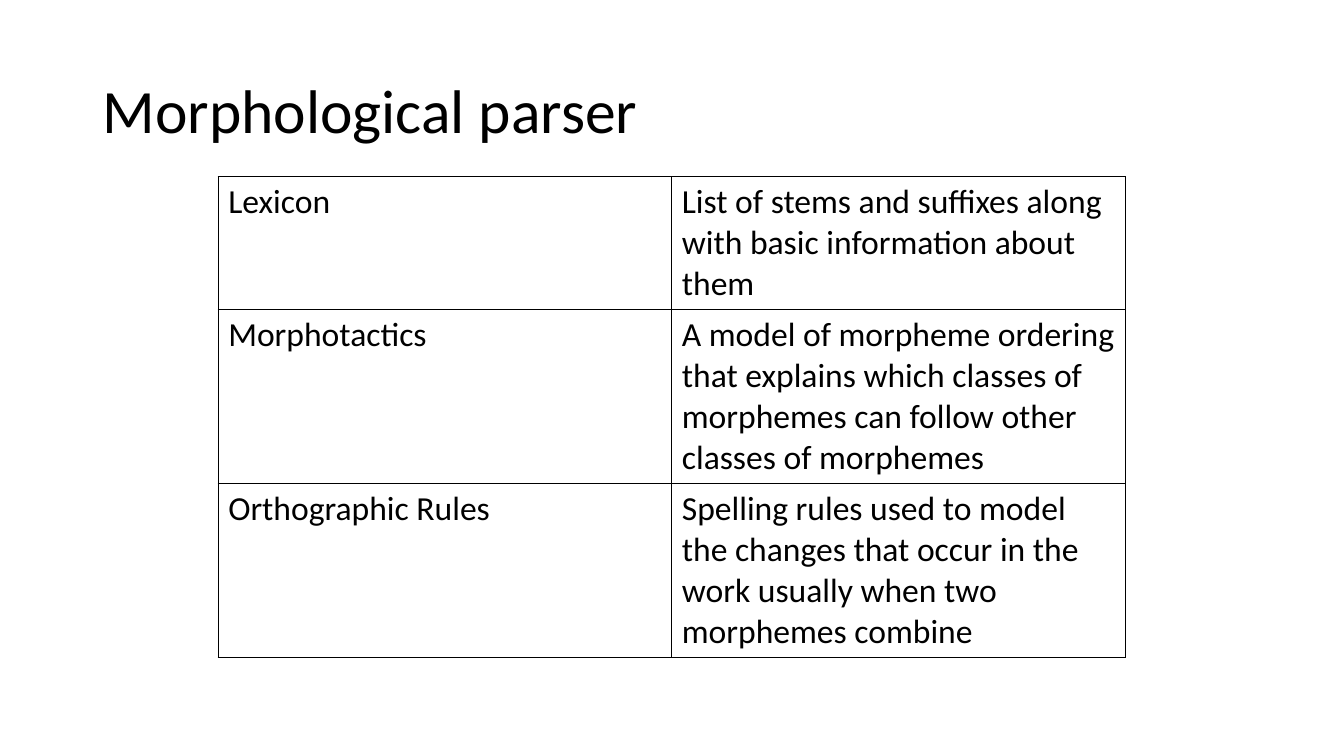
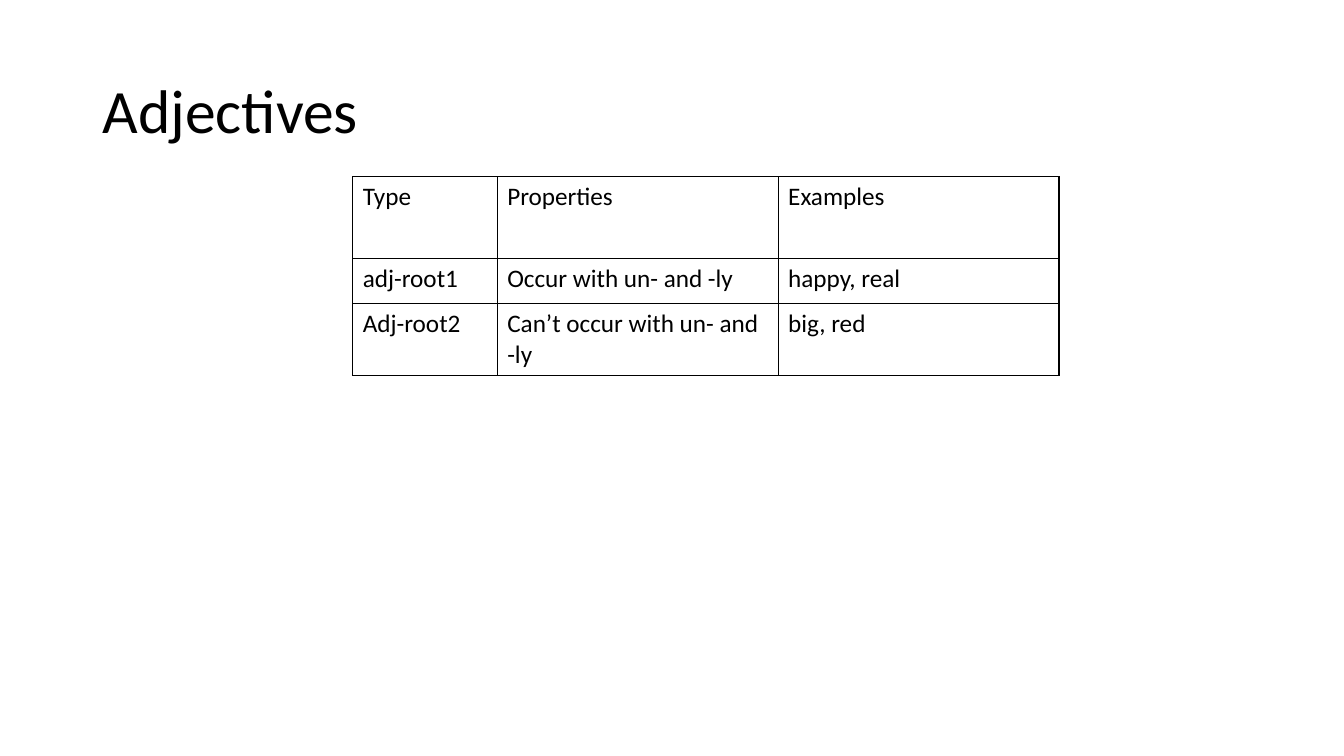
from dataclasses import dataclass

from lxml.etree import SubElement
from pptx import Presentation
from pptx.dml.color import RGBColor
from pptx.enum.text import MSO_ANCHOR, PP_ALIGN
from pptx.oxml.ns import qn
from pptx.presentation import Presentation as Deck
from pptx.slide import Slide
from pptx.table import _Cell
from pptx.text.text import _Paragraph
from pptx.util import Cm, Pt

COLOURS = {"text": "000000", "border": "000000"}
FONT_NAME = "Calibri"
TITLE_SIZE = 44
BORDER_WIDTH = Pt(1)
TITLE_ONLY_LAYOUT = 5
TITLE_BOX = {
    "left": Cm(2.33),
    "top": Cm(1.01),
    "width": Cm(29.21),
    "height": Cm(3.68),
}
TABLE_TOP = 4.45


@dataclass(frozen=True)
class TableSlide:
    """A titled table; lengths are in centimetres, text size in points."""

    title: str
    left: float
    column_widths: tuple[float, ...]
    row_heights: tuple[float, ...]
    text_size: int
    rows: tuple[tuple[str, ...], ...]


TABLE_SLIDES = (
    TableSlide(
        title="Morphological parser",
        left=5.5,
        column_widths=(11.43, 11.43),
        row_heights=(3.3, 4.32, 4.32),
        text_size=24,
        rows=(
            ("Lexicon",
             "List of stems and suffixes along with basic information about them"),
            ("Morphotactics",
             "A model of morpheme ordering that explains which classes of "
             "morphemes can follow other classes of morphemes"),
            ("Orthographic Rules",
             "Spelling rules used to model the changes that occur in the work "
             "usually when two morphemes combine"),
        ),
    ),
    TableSlide(
        title="Adjectives",
        left=8.89,
        column_widths=(3.64, 7.08, 7.08),
        row_heights=(2.06, 1.14, 1.78),
        text_size=18,
        rows=(
            ("Type", "Properties", "Examples"),
            ("adj-root1", "Occur with un- and -ly", "happy, real"),
            ("Adj-root2", "Can’t occur with un- and -ly", "big, red"),
        ),
    ),
)


def set_attributes(target: object, values: dict[str, object]) -> None:
    for name, value in values.items():
        setattr(target, name, value)


def format_text(paragraph: _Paragraph, size: int) -> None:
    paragraph.alignment = PP_ALIGN.LEFT
    font = paragraph.font
    set_attributes(font, {"name": FONT_NAME, "size": Pt(size), "bold": False})
    font.color.rgb = RGBColor.from_string(COLOURS["text"])


def add_borders(cell: _Cell) -> None:
    properties = cell._tc.get_or_add_tcPr()
    for side in ("lnL", "lnR", "lnT", "lnB"):
        line = SubElement(properties, qn(f"a:{side}"), w=str(BORDER_WIDTH))
        fill = SubElement(line, qn("a:solidFill"))
        SubElement(fill, qn("a:srgbClr"), val=COLOURS["border"])


def add_title(slide: Slide, text: str) -> None:
    title = slide.shapes.title
    set_attributes(title, TITLE_BOX)
    title.text_frame.text = text
    title.text_frame.vertical_anchor = MSO_ANCHOR.MIDDLE
    paragraph = title.text_frame.paragraphs[0]
    paragraph.line_spacing = 0.9
    format_text(paragraph, TITLE_SIZE)


def add_table(slide: Slide, content: TableSlide) -> None:
    table = slide.shapes.add_table(
        len(content.row_heights), len(content.column_widths),
        Cm(content.left), Cm(TABLE_TOP),
        Cm(sum(content.column_widths)), Cm(sum(content.row_heights)),
    ).table
    set_attributes(table, {"first_row": False, "horz_banding": False})
    for column, width in zip(table.columns, content.column_widths):
        column.width = Cm(width)
    for row, height, texts in zip(table.rows, content.row_heights, content.rows):
        row.height = Cm(height)
        for cell, text in zip(row.cells, texts):
            cell.text = text
            format_text(cell.text_frame.paragraphs[0], content.text_size)
            add_borders(cell)
            cell.fill.background()


def add_table_slide(presentation: Deck, content: TableSlide) -> None:
    layout = presentation.slide_layouts[TITLE_ONLY_LAYOUT]
    slide = presentation.slides.add_slide(layout)
    add_title(slide, content.title)
    add_table(slide, content)


def main() -> None:
    presentation = Presentation()
    set_attributes(
        presentation, {"slide_width": Cm(33.87), "slide_height": Cm(19.05)}
    )
    for content in TABLE_SLIDES:
        add_table_slide(presentation, content)
    presentation.save("out.pptx")


if __name__ == "__main__":
    main()
